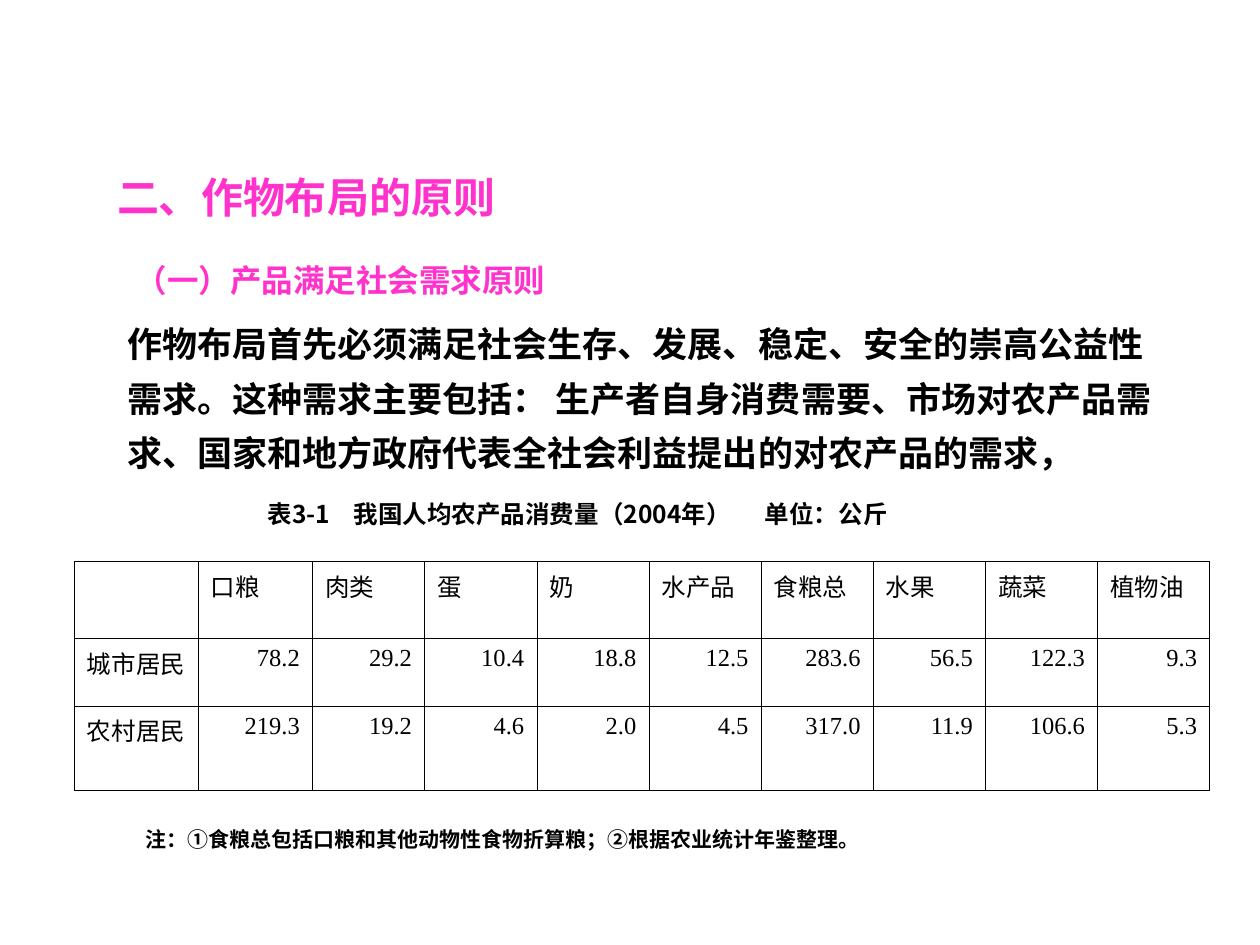
from dataclasses import dataclass

from lxml.etree import SubElement
from pptx import Presentation
from pptx.dml.color import RGBColor
from pptx.enum.text import MSO_ANCHOR, MSO_AUTO_SIZE, PP_ALIGN
from pptx.oxml.ns import qn
from pptx.slide import Slide
from pptx.text.text import _Paragraph
from pptx.util import Pt

COLORS = {"heading": "FF33CC", "ink": "000000"}
CJK_FONT = "Noto Sans CJK SC"


@dataclass(frozen=True)
class Passage:
    text: str
    left: float
    top: float
    width: float
    height: float
    size: float
    color: str = "ink"
    font: str = CJK_FONT
    line_spacing: float = 1.0
    tab_stops: tuple[float, ...] = ()


PASSAGES = [
    Passage("二、作物布局的原则", 59.8, 94.3, 374.4, 36, 24, "heading", "Arial"),
    Passage("（一）产品满足社会需求原则", 70.6, 145.4, 374.4, 28.8, 18, "heading", "Arial"),
    Passage(
        "作物布局首先必须满足社会生存、发展、稳定、安全的崇高公益性需求。"
        "这种需求主要包括： 生产者自身消费需要、市场对农产品需求、"
        "国家和地方政府代表全社会利益提出的对农产品的需求，",
        65.5, 173.5, 601.2, 100.8, 20, line_spacing=1.3,
    ),
    Passage(
        "表3-1\t我国人均农产品消费量（2004年）\t单位：公斤",
        146, 281.5, 385, 24, 14, tab_stops=(49, 284),
    ),
    Passage(
        "注：①食粮总包括口粮和其他动物性食物折算粮；②根据农业统计年鉴整理。",
        76.3, 468.7, 414, 21.6, 12,
    ),
]

CONSUMPTION = [
    ["", "口粮", "肉类", "蛋", "奶", "水产品", "食粮总", "水果", "蔬菜", "植物油"],
    ["城市居民", "78.2", "29.2", "10.4", "18.8", "12.5", "283.6", "56.5", "122.3", "9.3"],
    ["农村居民", "219.3", "19.2", "4.6", "2.0", "4.5", "317.0", "11.9", "106.6", "5.3"],
]
COLUMN_WIDTHS = [70.6, 65.5] + [64.1] * 8
ROW_HEIGHTS = [44.2, 38.4, 48]
SIDE_RULE = 0.34
ROW_RULES = [0.45, 0.45, 0.34, 0.45]


def format_runs(paragraph: _Paragraph, size: float, color: str, font: str, bold: bool) -> None:
    for run in paragraph.runs:
        run.font.size = Pt(size)
        run.font.bold = bold
        run.font.name = font
        run.font.color.rgb = RGBColor.from_string(COLORS[color])
        SubElement(run.font._element, qn("a:ea"), typeface=CJK_FONT)


def add_passage(slide: Slide, passage: Passage) -> None:
    box = slide.shapes.add_textbox(
        Pt(passage.left), Pt(passage.top), Pt(passage.width), Pt(passage.height)
    )
    frame = box.text_frame
    frame.word_wrap = True
    frame.auto_size = MSO_AUTO_SIZE.SHAPE_TO_FIT_TEXT
    frame.vertical_anchor = MSO_ANCHOR.MIDDLE
    paragraph = frame.paragraphs[0]
    paragraph.text = passage.text
    paragraph.line_spacing = passage.line_spacing
    if passage.tab_stops:
        tab_list = SubElement(paragraph._p.get_or_add_pPr(), qn("a:tabLst"))
        for position in passage.tab_stops:
            SubElement(tab_list, qn("a:tab"), pos=str(Pt(position)), algn="l")
    format_runs(paragraph, passage.size, passage.color, passage.font, True)


def add_consumption_table(slide: Slide, left: float, top: float) -> None:
    table = slide.shapes.add_table(
        len(ROW_HEIGHTS), len(COLUMN_WIDTHS), Pt(left), Pt(top),
        Pt(sum(COLUMN_WIDTHS)), Pt(sum(ROW_HEIGHTS)),
    ).table
    table.first_row = False
    table.horz_banding = False
    for column, width in zip(table.columns, COLUMN_WIDTHS):
        column.width = Pt(width)
    for row, height in zip(table.rows, ROW_HEIGHTS):
        row.height = Pt(height)
    for row_index, entries in enumerate(CONSUMPTION):
        for column_index, entry in enumerate(entries):
            cell = table.cell(row_index, column_index)
            paragraph = cell.text_frame.paragraphs[0]
            paragraph.text = entry
            numeric = row_index > 0 and column_index > 0
            paragraph.alignment = PP_ALIGN.RIGHT if numeric else PP_ALIGN.LEFT
            format_runs(paragraph, 14, "ink", "Times New Roman", False)
            borders = {
                "a:lnL": SIDE_RULE,
                "a:lnR": SIDE_RULE,
                "a:lnT": ROW_RULES[row_index],
                "a:lnB": ROW_RULES[row_index + 1],
            }
            properties = cell._tc.get_or_add_tcPr()
            for edge, weight in borders.items():
                line = SubElement(properties, qn(edge), w=str(Pt(weight)))
                paint = SubElement(line, qn("a:solidFill"))
                SubElement(paint, qn("a:srgbClr"), val=COLORS["ink"])
            cell.fill.background()


def main() -> None:
    presentation = Presentation()
    presentation.slide_width = Pt(720)
    presentation.slide_height = Pt(540)
    slide = presentation.slides.add_slide(presentation.slide_layouts[6])
    for passage in PASSAGES:
        add_passage(slide, passage)
    add_consumption_table(slide, 42.5, 320.8)
    presentation.save("out.pptx")


if __name__ == "__main__":
    main()
